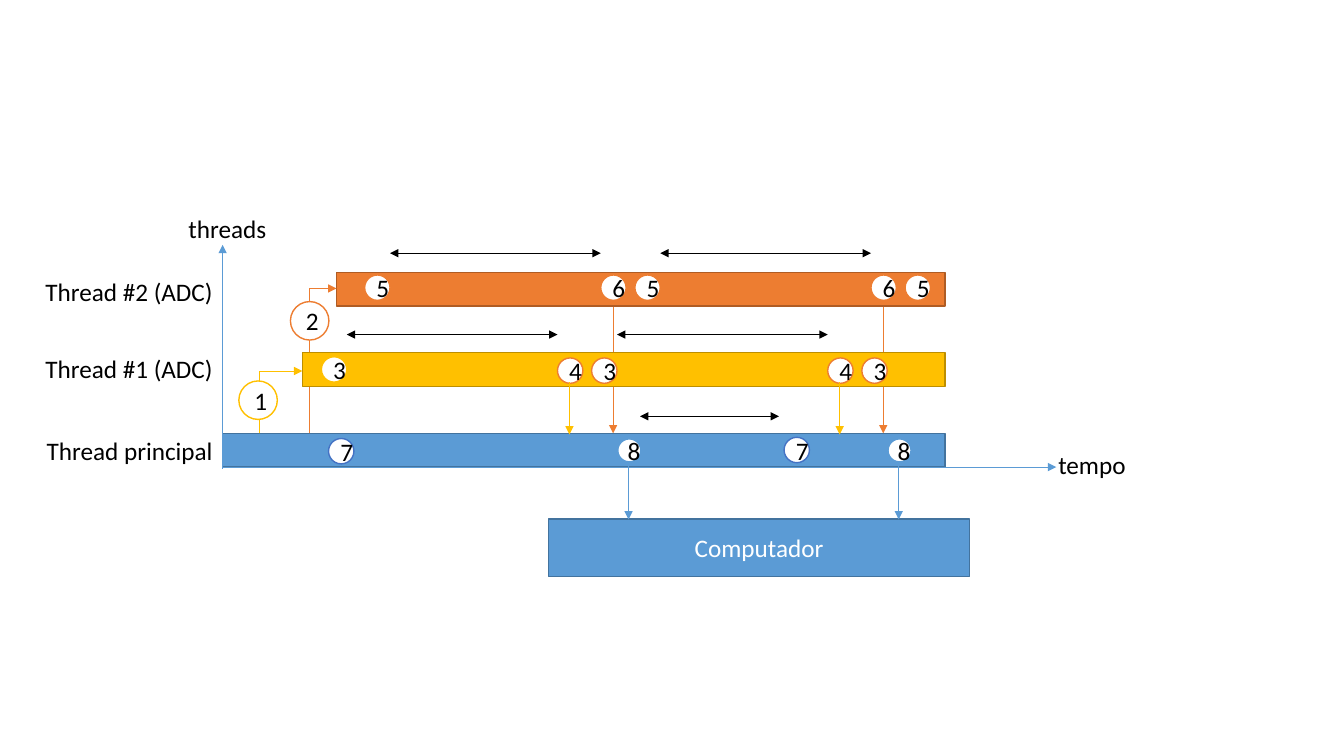
from lxml import etree
from pptx import Presentation
from pptx import util as u
from pptx.dml.color import RGBColor
from pptx.enum import shapes, text
from pptx.oxml import ns

COLORS = {
    "black": "000000", "white": "FFFFFF",
    "blue": "5B9BD5", "blue_edge": "43739E", "indigo": "4472C4",
    "orange": "ED7D31", "orange_edge": "AF5C24",
    "yellow": "FFC000", "yellow_edge": "BD8E00",
}
BAR_RIGHT, BAR_HEIGHT = 23.82, 0.85
AXIS_X = 5.61
MAIN_TOP, ADC1_TOP, ADC2_TOP = 10.92, 8.89, 6.86
SMALL, LARGE, SEND = 0.64, 0.97, 0.58
PERIOD = 6.81


def rgb(name):
    return RGBColor.from_string(COLORS[name])


def write(tf, words, color, align):
    p = tf.paragraphs[0]
    p.alignment = align
    r = p.add_run()
    r.text = words
    for name, value in {"name": "Calibri", "size": u.Pt(18)}.items():
        setattr(r.font, name, value)
    r.font.color.rgb = rgb(color)


def add_box(s, kind, at, fill, edge, words="", color="black"):
    sp = s.shapes.add_shape(kind, *map(u.Cm, at))
    sp.shadow.inherit = False
    sp.fill.solid()
    sp.fill.fore_color.rgb = rgb(fill)
    sp.line.color.rgb = rgb(edge)
    sp.line.width = u.Pt(1)
    if words:
        sp.text_frame.vertical_anchor = text.MSO_ANCHOR.MIDDLE
        write(sp.text_frame, words, color, text.PP_ALIGN.CENTER)


def add_bar(s, left, top, color):
    add_box(s, shapes.MSO_SHAPE.RECTANGLE,
            (left, top, BAR_RIGHT - left, BAR_HEIGHT), color, color + "_edge")


def add_step(s, number, left, top, edge, size=SMALL):
    add_box(s, shapes.MSO_SHAPE.OVAL, (left, top, size, size), "white", edge, number)


def add_label(s, words, at, align=text.PP_ALIGN.LEFT):
    tf = s.shapes.add_textbox(*map(u.Cm, at)).text_frame
    for name, value in {"word_wrap": True,
                        "auto_size": text.MSO_AUTO_SIZE.SHAPE_TO_FIT_TEXT}.items():
        setattr(tf, name, value)
    write(tf, words, "black", align)


def add_arrow(s, x1, y1, x2, y2, color, double=False,
              kind=shapes.MSO_CONNECTOR.STRAIGHT):
    line = s.shapes.add_connector(kind, *map(u.Cm, (x1, y1, x2, y2)))
    line.line.color.rgb = rgb(color)
    line.line.width = u.Pt(0.5)
    ln = line.line._get_or_add_ln()
    for end in ("a:headEnd", "a:tailEnd") if double else ("a:tailEnd",):
        etree.SubElement(ln, ns.qn(end), type="triangle")
    etree.SubElement(line._element.spPr, ns.qn("a:effectLst"))
    return line


def add_launch(s, x1, y1, x2, y2, color):
    mid_x, mid_y = (x1 + x2) / 2, (y1 + y2) / 2
    half_w, half_h = (y1 - y2) / 2, (x2 - x1) / 2
    line = add_arrow(s, mid_x + half_w, mid_y + half_h, mid_x - half_w, mid_y - half_h,
                     color, kind=shapes.MSO_CONNECTOR.ELBOW)
    sp_pr = line._element.spPr
    sp_pr.find(ns.qn("a:prstGeom")).set("prst", "bentConnector2")
    sp_pr.find(ns.qn("a:xfrm")).set("rot", "5400000")


def add_threads(s):
    add_bar(s, AXIS_X, MAIN_TOP, "blue")
    add_launch(s, 6.53, MAIN_TOP, 7.62, 9.35, "yellow")
    add_bar(s, 8.48, ADC2_TOP, "orange")
    add_launch(s, 7.8, MAIN_TOP, 8.48, 7.27, "orange")
    add_bar(s, 7.62, ADC1_TOP, "yellow")
    add_step(s, "1", 6.02, 9.6, "yellow", LARGE)
    add_step(s, "2", 7.32, 7.6, "orange", LARGE)
    for words, top in (("Thread principal", 10.85), ("Thread #1 (ADC)", 8.79),
                       ("Thread #2 (ADC)", 6.83)):
        add_label(s, words, (0.81, top, 4.8, 1.02), text.PP_ALIGN.RIGHT)


def add_cycle(s, shift):
    for number, left, top in (("6", 15.14, 6.93), ("5", 16, 6.93),
                              ("4", 14.05, 9.02), ("3", 14.91, 9.02)):
        add_step(s, number, left + shift, top, "orange")
    add_step(s, "8", 15.57 + shift, 11.06, "blue", SEND)
    add_arrow(s, 14.35 + shift, 9.63, 14.35 + shift, 10.95, "yellow")
    add_arrow(s, 15.84 + shift, 11.64, 15.84 + shift, 13.09, "blue")
    for left, top in ((9.83, 6.38), (8.74, 8.43)):
        add_arrow(s, left + shift, top, left + shift + 5.31, top, "black", double=True)


def main():
    prs = Presentation()
    prs.slide_width, prs.slide_height = u.Cm(33.87), u.Cm(19.05)
    s = prs.slides.add_slide(prs.slide_layouts[6])
    cycles = (0, PERIOD)
    for shift in cycles:
        add_arrow(s, 15.45 + shift, 7.57, 15.45 + shift, MAIN_TOP, "orange")
    add_threads(s)
    add_step(s, "5", 9.19, 6.93, "orange")
    add_step(s, "3", 8.1, 8.99, "yellow")
    add_step(s, "7", 8.28, 11.05, "indigo")
    add_step(s, "7", 19.76, 11.02, "indigo")
    add_box(s, shapes.MSO_SHAPE.RECTANGLE, (13.82, 13.08, 10.62, 1.45),
            "blue", "blue_edge", "Computador", "white")
    for shift in cycles:
        add_cycle(s, shift)
    add_arrow(s, 16.13, 10.49, 19.63, 10.49, "black", double=True)
    add_arrow(s, AXIS_X, 11.77, 26.62, 11.77, "blue")
    add_arrow(s, AXIS_X, 11.81, AXIS_X, 6.17, "blue")
    add_label(s, "tempo", (26.42, 11.2, 3.02, 1.02))
    add_label(s, "threads", (4.5, 5.26, 2.82, 1.02))
    prs.save("out.pptx")


if __name__ == "__main__":
    main()
